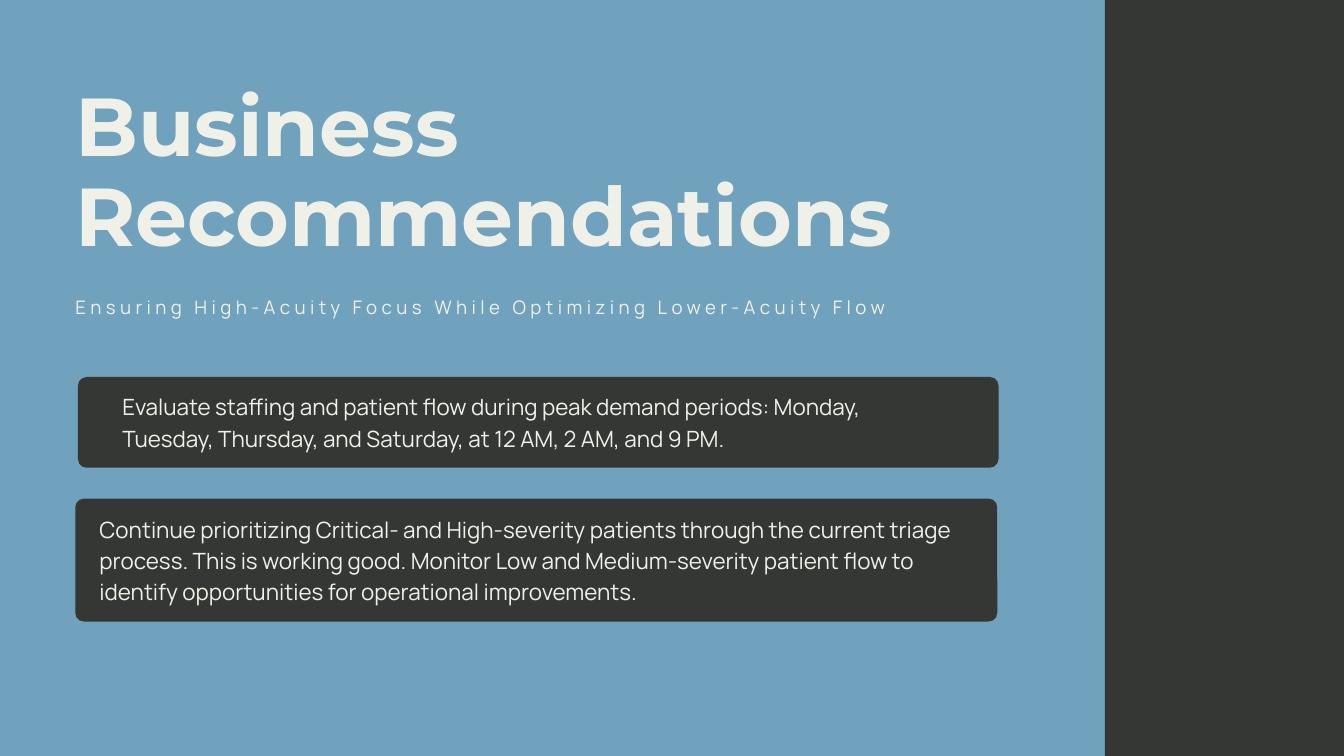
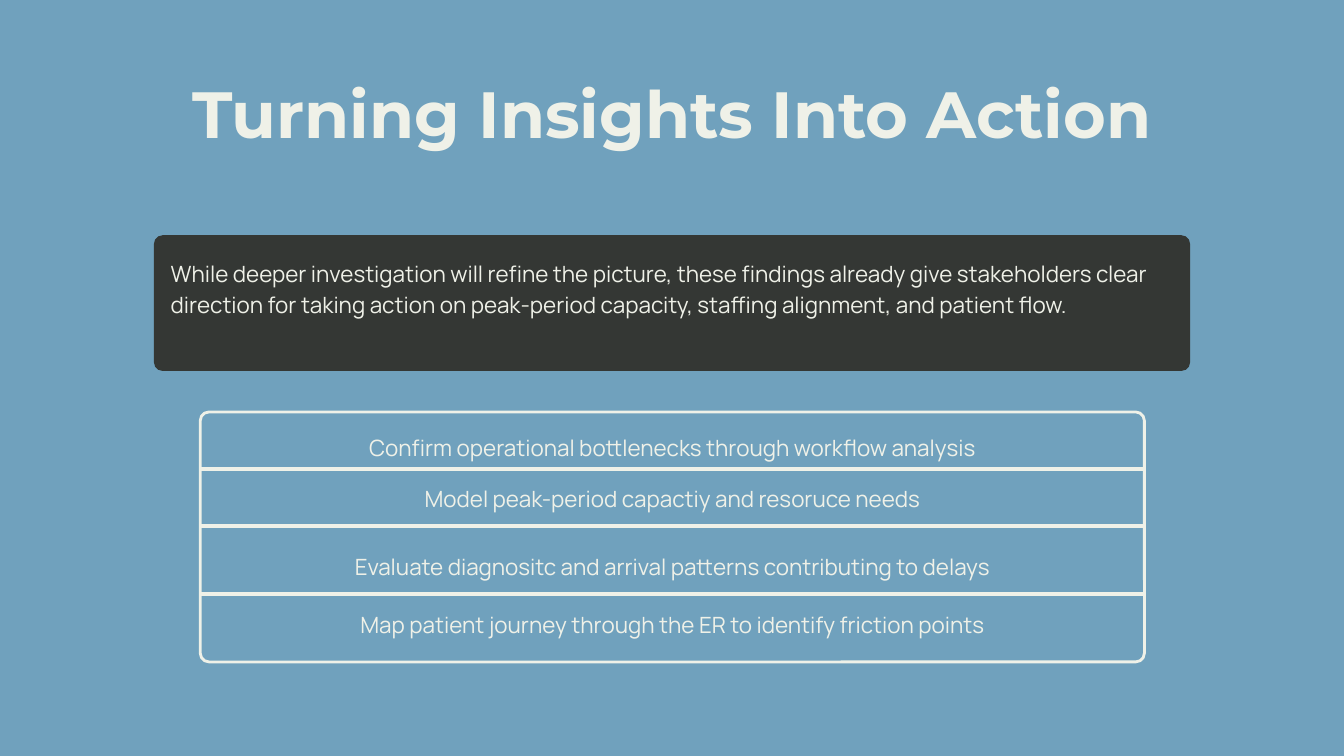
from dataclasses import dataclass

from lxml import etree
from pptx import Presentation
from pptx.dml.color import RGBColor
from pptx.enum.shapes import MSO_CONNECTOR, MSO_SHAPE
from pptx.enum.text import MSO_ANCHOR, MSO_AUTO_SIZE, PP_ALIGN
from pptx.oxml.ns import qn
from pptx.util import Inches, Pt


@dataclass(frozen=True)
class Theme:
    sky: RGBColor = RGBColor(0x70, 0xA1, 0xBD)
    charcoal: RGBColor = RGBColor(0x34, 0x37, 0x34)
    cream: RGBColor = RGBColor(0xEF, 0xF1, 0xE8)
    title_font: str = "Montserrat"
    body_font: str = "Manrope"
    title_leading: float = 1.1
    body_leading: float = 1.4
    cover_title_size: int = 88
    title_size: int = 70
    subtitle_size: int = 20
    body_size: int = 24
    subtitle_tracking: float = 4.7
    corner: float = 0.13
    frame_line: int = 3
    divider_line: int = 4


THEME = Theme()
# A rounded rectangle keeps its text this far inside its corners.
CORNER_INSET = THEME.corner * 0.29


def place(shape, left, top, width, height):
    shape.left, shape.top = Inches(left), Inches(top)
    shape.width, shape.height = Inches(width), Inches(height)


def write(frame, text, size, font=THEME.body_font, leading=THEME.body_leading,
          align=PP_ALIGN.LEFT, bold=False, margins=(0, 0, 0, 0)):
    """Fill a frame with one run; margins are left, top, right, bottom in inches."""
    frame.word_wrap = True
    frame.auto_size = MSO_AUTO_SIZE.NONE
    frame.vertical_anchor = MSO_ANCHOR.TOP
    (frame.margin_left, frame.margin_top,
     frame.margin_right, frame.margin_bottom) = map(Inches, margins)
    paragraph = frame.paragraphs[0]
    paragraph.alignment = align
    paragraph.line_spacing = Pt(size * leading)
    paragraph.space_before = Pt(0)
    run = paragraph.add_run()
    run.text = text
    run.font.name = font
    run.font.size = Pt(size)
    run.font.bold = bold
    run.font.color.rgb = THEME.cream
    return run


def set_title(slide, text, box, size, align=PP_ALIGN.LEFT):
    title = slide.shapes.title
    place(title, *box)
    write(title.text_frame, text, size, THEME.title_font, THEME.title_leading, align, bold=True)


def set_subtitle(slide, text, box):
    subtitle = slide.placeholders[1]
    place(subtitle, *box)
    run = write(subtitle.text_frame, text, THEME.subtitle_size)
    run.font._element.set("spc", str(round(THEME.subtitle_tracking * 100)))


def add_panel(slide, box, kind=MSO_SHAPE.ROUNDED_RECTANGLE):
    panel = slide.shapes.add_shape(kind, *map(Inches, box))
    panel.shadow.inherit = False
    panel.fill.solid()
    panel.fill.fore_color.rgb = THEME.charcoal
    panel.line.fill.background()
    if kind == MSO_SHAPE.ROUNDED_RECTANGLE:
        panel.adjustments[0] = THEME.corner / min(box[2:])
    return panel


def add_card(slide, text, box, indent, top_gap, right_gap):
    card = add_panel(slide, box)
    margins = (indent - CORNER_INSET, top_gap - CORNER_INSET, right_gap - CORNER_INSET, 0)
    write(card.text_frame, text, THEME.body_size, margins=margins)


def add_divider(slide, left, right, y):
    divider = slide.shapes.add_connector(
        MSO_CONNECTOR.STRAIGHT, Inches(left), Inches(y), Inches(right), Inches(y))
    divider.line.color.rgb = THEME.cream
    divider.line.width = Pt(THEME.divider_line)
    etree.SubElement(divider._element.spPr, qn("a:effectLst"))


def add_action_list(slide, actions, box, dividers):
    """Outline a ruled list; actions pair each text with its top edge."""
    left, _, width, _ = box
    outline = add_panel(slide, box)
    outline.fill.background()
    outline.line.color.rgb = THEME.cream
    outline.line.width = Pt(THEME.frame_line)
    for y in dividers:
        add_divider(slide, left, left + width, y)
    for action, top in actions:
        row = slide.shapes.add_textbox(*map(Inches, (left, top, width, 0.45)))
        write(row.text_frame, action, THEME.body_size, align=PP_ALIGN.CENTER)


def build_recommendations(prs):
    slide = prs.slides.add_slide(prs.slide_layouts[0])
    add_panel(slide, (16.44, 0, 3.56, 11.25), MSO_SHAPE.RECTANGLE)
    set_title(slide, "Business Recommendations", (1.12, 1.23, 15.15, 2.71),
              THEME.cover_title_size)
    set_subtitle(slide, "Ensuring High‑Acuity Focus While Optimizing Lower‑Acuity Flow",
                 (1.12, 4.35, 15.15, 0.39))
    add_card(slide,
             "Evaluate staffing and patient flow during peak demand periods: Monday, "
             "Tuesday, Thursday, and Saturday, at 12 AM, 2 AM, and 9 PM.",
             (1.16, 5.61, 13.7, 1.35), indent=0.66, top_gap=0.18, right_gap=0.67)
    add_card(slide,
             "Continue prioritizing Critical- and High-severity patients through the current "
             "triage process. This is working good. Monitor Low and Medium-severity patient "
             "flow to identify opportunities for operational improvements.",
             (1.12, 7.42, 13.72, 1.83), indent=0.36, top_gap=0.19, right_gap=0.34)


def build_action_plan(prs):
    slide = prs.slides.add_slide(prs.slide_layouts[5])
    set_title(slide, "Turning Insights Into Action", (2.01, 1.19, 15.98, 1.1),
              THEME.title_size, PP_ALIGN.CENTER)
    add_action_list(
        slide,
        [("Confirm operational bottlenecks through workflow analysis", 6.39),
         ("Model peak-period capactiy and resoruce needs", 7.15),
         ("Evaluate diagnositc and arrival patterns contributing to delays", 8.17),
         ("Map patient journey through the ER to identify friction points", 9.02)],
        (2.98, 6.13, 14.05, 3.72), dividers=(6.98, 7.83, 8.84))
    add_card(slide,
             "While deeper investigation will refine the picture, these findings already give "
             "stakeholders clear direction for taking action on peak‑period capacity, staffing "
             "alignment, and patient flow.",
             (2.29, 3.5, 15.42, 2.02), indent=0.25, top_gap=0.3, right_gap=0.26)


def main():
    prs = Presentation()
    prs.slide_width, prs.slide_height = Inches(20), Inches(11.25)
    background = prs.slide_master.background.fill
    background.solid()
    background.fore_color.rgb = THEME.sky
    build_recommendations(prs)
    build_action_plan(prs)
    prs.save("out.pptx")


if __name__ == "__main__":
    main()
